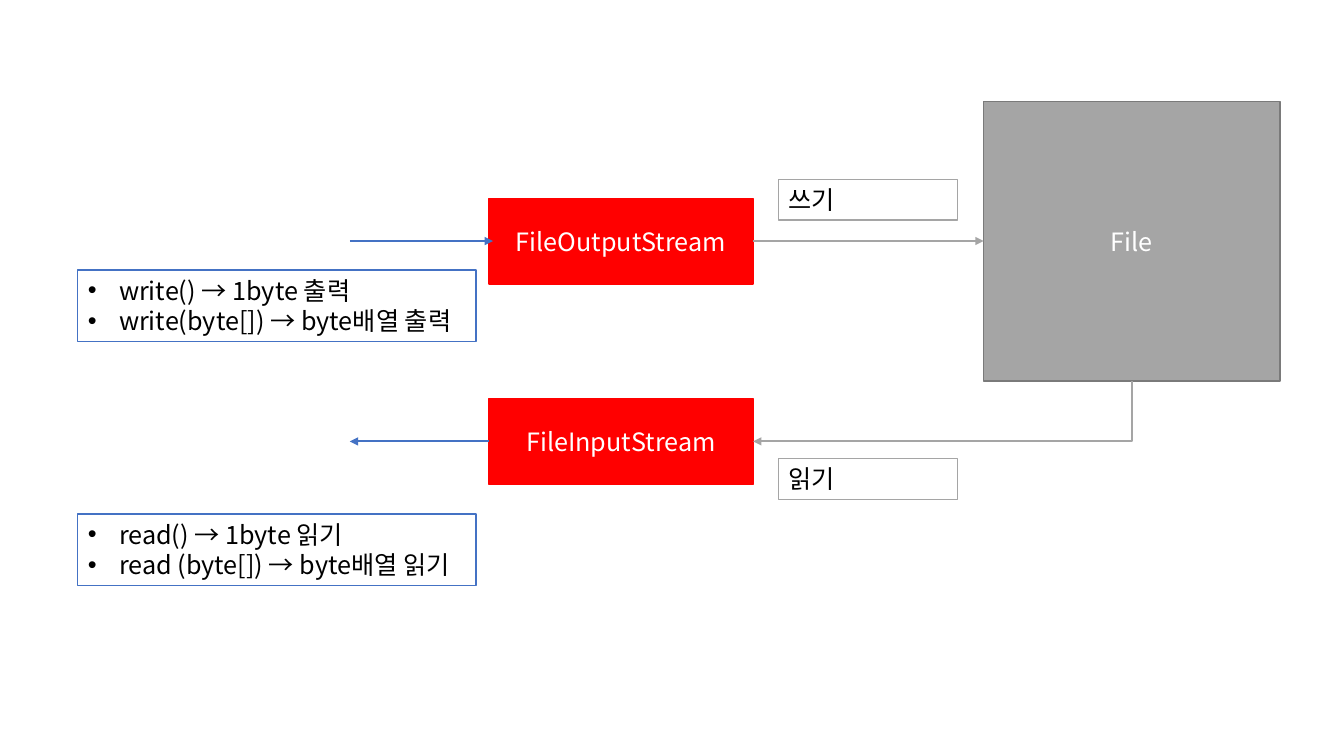
import pptx
import pptx.util
import pptx.dml.color
import pptx.enum.shapes
import pptx.enum.text
import pptx.oxml
import pptx.oxml.ns

RGBColor = pptx.dml.color.RGBColor
WHITE = RGBColor(0xFF, 0xFF, 0xFF)
BLACK = RGBColor(0x00, 0x00, 0x00)
BLUE = RGBColor(0x44, 0x72, 0xC4)
GRAY = RGBColor(0xA5, 0xA5, 0xA5)
DARK_GRAY = RGBColor(0x7A, 0x7A, 0x7A)
RED = RGBColor(0xFF, 0x00, 0x00)

ALIGN = pptx.enum.text.PP_ALIGN
ANCHOR = pptx.enum.text.MSO_ANCHOR
CONNECTOR = pptx.enum.shapes.MSO_CONNECTOR
COLUMNS = 32


def add_element(parent, tag, **attributes):
    child = pptx.oxml.parse_xml(f'<{tag} {pptx.oxml.ns.nsdecls("a")}/>')
    for name, value in attributes.items():
        child.set(name, str(value))
    parent.append(child)
    return child


def write_text(frame, text, font="Noto Sans CJK KR", size=18, color=BLACK,
               align=ALIGN.LEFT, anchor=ANCHOR.TOP, bullet=None, indent=0.31):
    frame.word_wrap = True
    frame.auto_size = pptx.enum.text.MSO_AUTO_SIZE.NONE
    frame.vertical_anchor = anchor
    for number, line in enumerate(text.split("\n")):
        para = frame.add_paragraph() if number else frame.paragraphs[0]
        para.alignment = align
        para.space_before = pptx.util.Pt(0)
        if bullet:
            properties = para._p.get_or_add_pPr()
            margin = pptx.util.Inches(indent)
            properties.set("marL", str(margin))
            properties.set("indent", str(-margin))
            add_element(properties, "a:buFont", typeface="Arial")
            add_element(properties, "a:buChar", char=bullet)
        span = para.add_run()
        span.text = line
        span.font.size = pptx.util.Pt(size)
        span.font.color.rgb = color
        span.font.name = font
        add_element(span._r.get_or_add_rPr(), "a:ea", typeface=font)


class Diagram:
    def __init__(self, deck):
        self.page = deck.slides.add_slide(deck.slide_layouts[3])
        self.cell = deck.slide_width / COLUMNS
        title = self.page.shapes.title._element
        title.getparent().remove(title)

    def grid(self, *lengths):
        return [round(length * self.cell) for length in lengths]

    def paint(self, shape, fill, line):
        shape.fill.solid()
        shape.fill.fore_color.rgb = fill
        shape.line.color.rgb = line
        shape.line.width = pptx.util.Pt(1)

    def box(self, text, place, fill, line, **style):
        box = self.page.shapes.add_shape(
            pptx.enum.shapes.MSO_SHAPE.RECTANGLE, *self.grid(*place))
        box.shadow.inherit = False
        self.paint(box, fill, line)
        write_text(box.text_frame, text, **style)

    def block(self, text, place, fill, line):
        self.box(text, place, fill, line, color=WHITE,
                 align=ALIGN.CENTER, anchor=ANCHOR.MIDDLE)

    def method_list(self, index, text, place):
        body = self.page.placeholders[index]
        body.left, body.top, body.width, body.height = self.grid(*place)
        self.paint(body, WHITE, BLUE)
        write_text(body.text_frame, text, bullet="•")

    def arrow(self, start, end, color, kind=CONNECTOR.STRAIGHT):
        arrow = self.page.shapes.add_connector(kind, *self.grid(*start, *end))
        arrow.line.color.rgb = color
        arrow.line.width = pptx.util.Pt(1.5)
        properties = arrow._element.spPr
        add_element(properties.find(pptx.oxml.ns.qn("a:ln")), "a:tailEnd", type="triangle")
        add_element(properties, "a:effectLst")
        return arrow

    def corner_arrow(self, start, end, color):
        arrow = self.arrow(start, end, color, CONNECTOR.ELBOW)
        across, down = start[0] - end[0], end[1] - start[1]
        middle_x, middle_y = (start[0] + end[0]) / 2, (start[1] + end[1]) / 2
        arrow.left, arrow.top, arrow.width, arrow.height = self.grid(
            middle_x - down / 2, middle_y - across / 2, down, across)
        properties = arrow._element.spPr
        frame = properties.find(pptx.oxml.ns.qn("a:xfrm"))
        frame.attrib.pop("flipH", None)
        frame.set("rot", str(90 * 60000))
        properties.find(pptx.oxml.ns.qn("a:prstGeom")).set("prst", "bentConnector2")


def main():
    deck = pptx.Presentation()
    deck.slide_width = pptx.util.Pt(960)
    deck.slide_height = pptx.util.Pt(540)
    diagram = Diagram(deck)

    output_lane, input_lane = 5.74, 10.51
    program_x = 8.33
    stream_left, stream_width, stream_height = 11.64, 6.29, 2.04
    stream_right = stream_left + stream_width
    file_left, file_top, file_width, file_height = 23.42, 2.42, 7.06, 6.65
    file_bottom = (file_left + file_width / 2, file_top + file_height)

    diagram.block("File", (file_left, file_top, file_width, file_height), GRAY, DARK_GRAY)
    for name, lane in (("FileOutputStream", output_lane), ("FileInputStream", input_lane)):
        place = (stream_left, lane - stream_height / 2, stream_width, stream_height)
        diagram.block(name, place, RED, RED)

    for label, top in (("쓰기", 4.27), ("읽기", 10.92)):
        diagram.box(label, (18.53, top, 4.27, 0.97), WHITE, GRAY)

    methods = (
        (1, "write() → 1byte 출력\nwrite(byte[]) → byte배열 출력", 6.43),
        (2, "read() → 1byte 읽기\nread (byte[]) → byte배열 읽기", 12.24),
    )
    for index, text, top in methods:
        diagram.method_list(index, text, (1.85, top, 9.48, 1.7))

    diagram.arrow((program_x, output_lane), (stream_left + 0.1, output_lane), BLUE)
    diagram.arrow((stream_right, output_lane), (file_left, output_lane), GRAY)
    diagram.corner_arrow(file_bottom, (stream_right, input_lane), GRAY)
    diagram.arrow((stream_left, input_lane), (program_x, input_lane), BLUE)

    deck.save("out.pptx")


if __name__ == "__main__":
    main()
